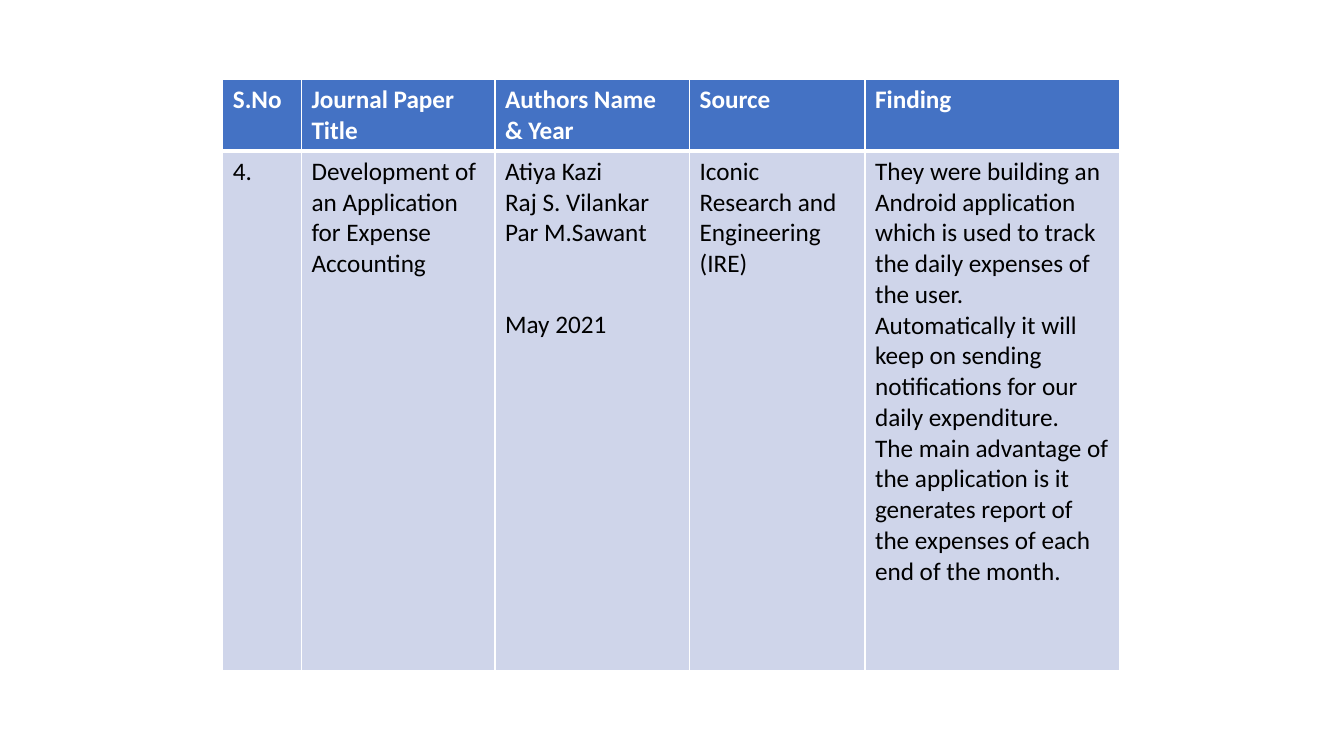
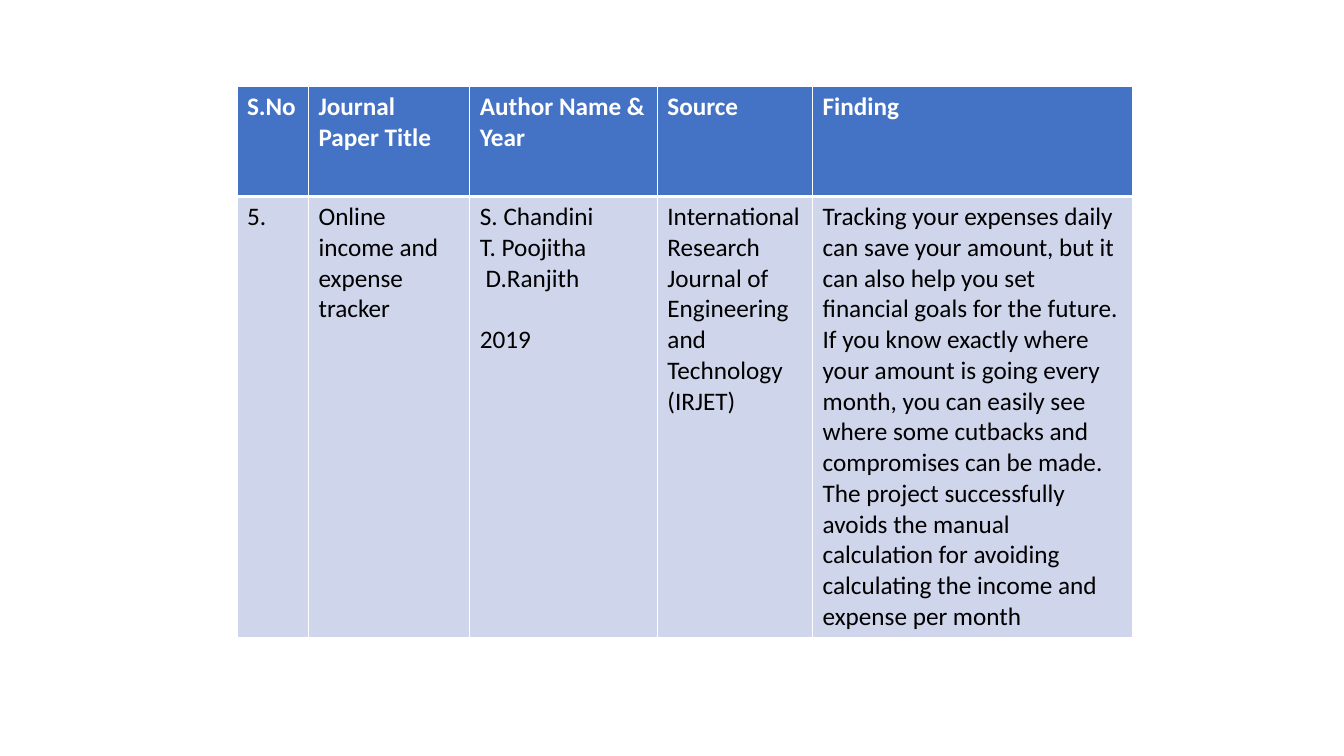
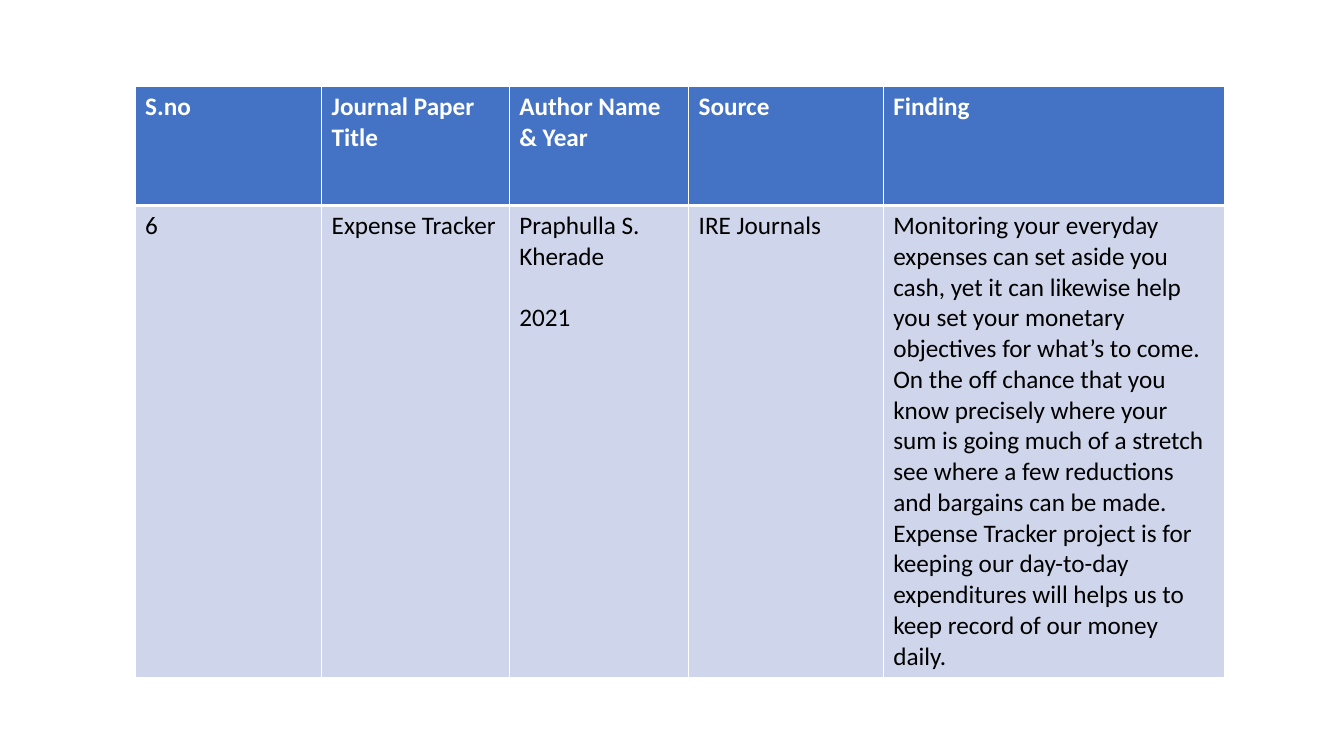
from lxml import etree
from pptx import Presentation
from pptx import util as u
from pptx.dml.color import RGBColor
from pptx.oxml import ns

BLUE = RGBColor(0x44, 0x72, 0xC4)
PALE = RGBColor(0xCF, 0xD5, 0xEA)
WHITE = RGBColor(0xFF, 0xFF, 0xFF)
BLACK = RGBColor(0, 0, 0)
FONT = "Calibri"
SIZE = u.Pt(18)
LINE = 21.9  # height of one text line in points
THIN, THICK = 1, 3

# Each paper: table corner, column widths, row heights, heads, cells.
# A cell is a list of paragraphs; a pair is (text, lines of space before).
PAPERS = [
    dict(
        left=2.21, top=0.79,
        cols=[0.78, 1.92, 1.93, 1.74, 2.53], rows=[0.7, 5.15],
        heads=["S.No", "Journal Paper Title", "Authors Name & Year",
               "Source", "Finding"],
        cells=[
            ["4."],
            ["Development of an Application for Expense Accounting"],
            ["Atiya Kazi", "Raj S. Vilankar", "Par M.Sawant",
             ("May 2021", 2)],
            ["Iconic Research and Engineering", "(IRE)"],
            ["They were building an Android application which is used to "
             "track the\u00a0daily expenses of the user.",
             "Automatically it will keep on sending notifications for our "
             "daily expenditure.",
             "The main advantage of the application is it generates report "
             "of the expenses of each end of the month."],
        ],
    ),
    dict(
        left=2.35, top=0.86,
        cols=[0.71, 1.6, 1.86, 1.54, 3.17], rows=[1.09, 4.36],
        heads=["S.No", "Journal Paper Title", "Author Name & Year",
               "Source", "Finding"],
        cells=[
            ["5."],
            ["Online income and expense tracker"],
            ["S. Chandini", "T. Poojitha", " D.Ranjith", ("2019", 1)],
            ["International Research Journal of Engineering and Technology "
             "(IRJET)"],
            ["Tracking your expenses daily can save your amount, but it can "
             "also help you set financial goals for the future. If you know "
             "exactly where your amount is going every month, you can easily "
             "see where some cutbacks and compromises can be made.",
             "The project successfully avoids the manual calculation for "
             "avoiding calculating the income and expense per month"],
        ],
    ),
    dict(
        left=1.34, top=0.86,
        cols=[1.85, 1.86, 1.78, 1.93, 3.39], rows=[1.18, 4.68],
        heads=["S.no", "Journal Paper Title", "Author Name & Year",
               "Source", "Finding"],
        cells=[
            ["6"],
            ["Expense Tracker"],
            ["Praphulla S. Kherade", ("2021", 1)],
            ["IRE Journals"],
            ["Monitoring your everyday expenses can set aside you cash, yet "
             "it can likewise help you set your monetary objectives for "
             "what\u2019s to come. On the off chance that you know precisely "
             "where your sum is going much of a stretch see where a few "
             "reductions and bargains can be made. Expense Tracker project "
             "is for keeping our day-to-day expenditures will helps us to "
             "keep record of our money daily."],
        ],
    ),
]


def edge(cell, top, base):
    """Draw white borders round a cell; top and base are widths in points."""
    props = cell._tc.get_or_add_tcPr()
    for side, width in zip("LRTB", (THIN, THIN, top, base)):
        line = etree.SubElement(props, ns.qn("a:ln" + side),
                                w=str(u.Pt(width)))
        fill = etree.SubElement(line, ns.qn("a:solidFill"))
        etree.SubElement(fill, ns.qn("a:srgbClr"), val=str(WHITE))


def write(cell, paras, color, bold):
    """Fill a cell with paragraphs in the shared text style."""
    for i, para in enumerate(paras):
        words, gap = para if isinstance(para, tuple) else (para, 0)
        frame = cell.text_frame
        p = frame.add_paragraph() if i else frame.paragraphs[0]
        if gap:
            p.space_before = u.Pt(gap * LINE)
        run = p.add_run()
        run.text = words
        run.font.name = FONT
        run.font.size = SIZE
        run.font.bold = bold
        run.font.color.rgb = color


deck = Presentation()
deck.slide_width = u.Inches(13.33)
deck.slide_height = u.Inches(7.5)
blank = deck.slide_layouts[6]

for paper in PAPERS:
    slide = deck.slides.add_slide(blank)
    cols, rows = paper["cols"], paper["rows"]
    box = [paper["left"], paper["top"], sum(cols), sum(rows)]
    table = slide.shapes.add_table(
        len(rows), len(cols), *[u.Inches(n) for n in box]).table
    table.horz_banding = False
    for col, width in zip(table.columns, cols):
        col.width = u.Inches(width)
    for row, height in zip(table.rows, rows):
        row.height = u.Inches(height)

    for c, (head, paras) in enumerate(zip(paper["heads"], paper["cells"])):
        top, body = table.cell(0, c), table.cell(1, c)
        edge(top, THIN, THICK)
        edge(body, THICK, THIN)
        write(top, [head], WHITE, True)
        write(body, paras, BLACK, False)
        for cell, color in ((top, BLUE), (body, PALE)):
            cell.fill.solid()
            cell.fill.fore_color.rgb = color

deck.save("out.pptx")
